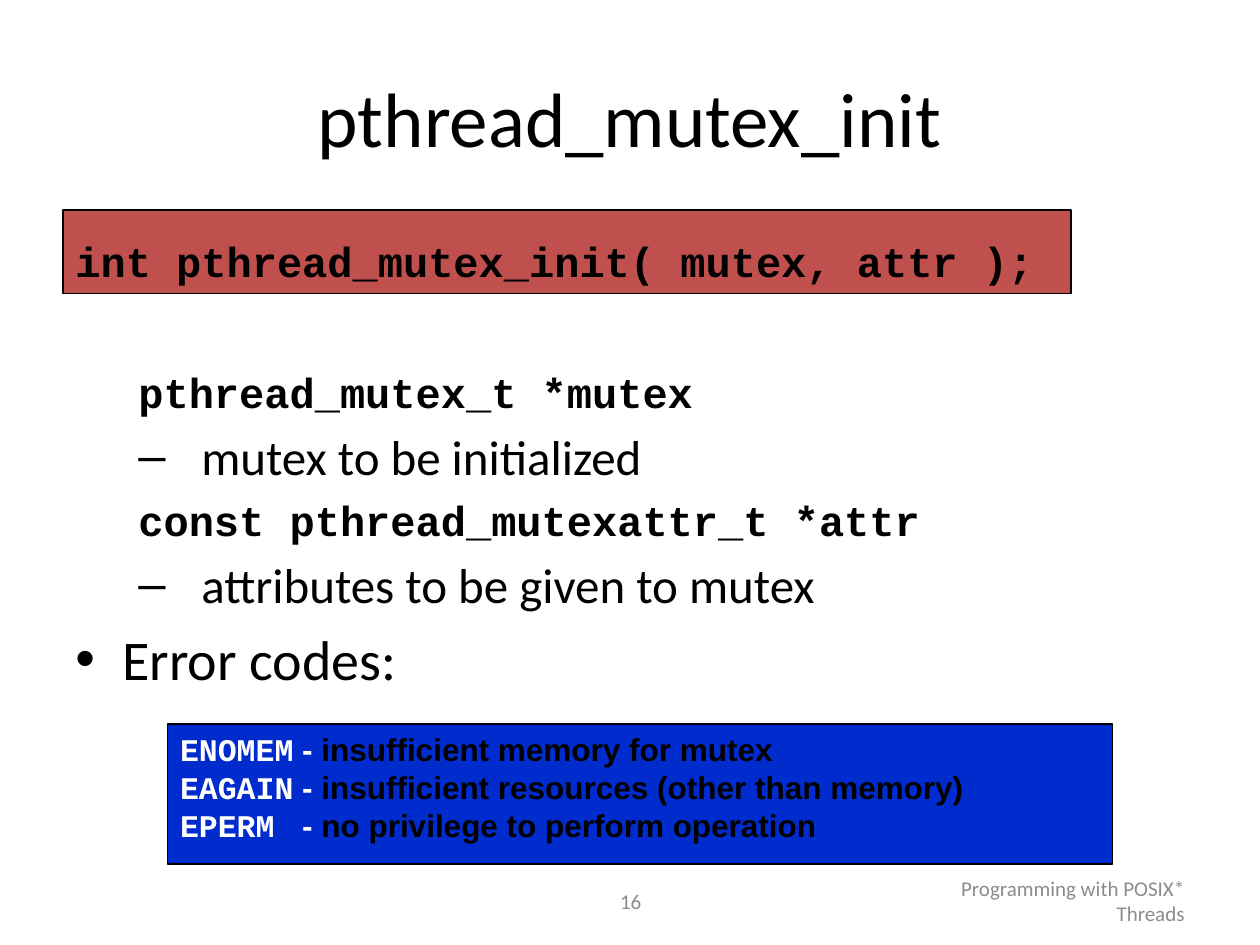
from pptx import Presentation
from pptx.dml.color import RGBColor as Rgb
from pptx.enum.shapes import MSO_SHAPE as Shape
from pptx.enum.text import MSO_ANCHOR as Anchor, PP_ALIGN as Align
from pptx.util import Cm, Pt
from lxml.etree import SubElement as Sub
from pptx.oxml.ns import qn

THEME = {
    "ink": "000000", "pale": "FFFFFF", "grey": "8C8C8C",
    "red": "C0504D", "blue": "002CCE",
    "sans": "Calibri", "mono": "Courier New", "bold": "Arial",
    "title": 44, "topic": 32, "note": 28, "code": 24, "error": 18, "foot": 12,
}
TITLE = "pthread_mutex_init"
CALL = "int pthread_mutex_init( mutex, attr );"
PARTS = [
    ("pthread_mutex_t *mutex", "mutex to be initialized"),
    ("const pthread_mutexattr_t *attr", "attributes to be given to mutex"),
]
TOPIC = "Error codes:"
ERRORS = [
    ("ENOMEM", "insufficient memory for mutex"),
    ("EAGAIN", "insufficient resources (other than memory)"),
    ("EPERM ", "no privilege to perform operation"),
]
NUMBER = "16"
FOOTER = "Programming with POSIX* Threads"

AREAS = {
    "number": (8.69, 17.65, 8.05, 1.02),
    "footer": (18.21, 17.65, 5.92, 1.02),
    "call": (1.27, 4.24, 20.32, 1.68),
    "title": (1.27, 0.76, 22.86, 3.18),
    "body": (1.27, 4.62, 22.86, 13.8),
    "errors": (3.38, 14.6, 19.05, 2.82),
}


def frame(shape, anchor=Anchor.TOP):
    """Prepare the text frame of a shape."""
    area = shape.text_frame
    area.word_wrap = True
    area.vertical_anchor = anchor
    return area


def box(slide, name, anchor=Anchor.TOP):
    """Add a text box and return its first paragraph."""
    shape = slide.shapes.add_textbox(*map(Cm, AREAS[name]))
    return frame(shape, anchor).paragraphs[0]


def panel(slide, name, fill):
    """Add a filled rectangle with a thin outline."""
    shape = slide.shapes.add_shape(Shape.RECTANGLE, *map(Cm, AREAS[name]))
    shape.shadow.inherit = False
    shape.fill.solid()
    shape.fill.fore_color.rgb = Rgb.from_string(THEME[fill])
    shape.line.color.rgb = Rgb.from_string(THEME["ink"])
    shape.line.width = Pt(1)
    return shape


def write(para, text, size, font="sans", color="ink", bold=False, align=Align.LEFT):
    """Add one formatted run to a paragraph."""
    para.alignment = align
    run = para.add_run()
    run.text = text
    run.font.size = Pt(THEME[size])
    run.font.name = THEME[font]
    run.font.bold = bold
    run.font.color.rgb = Rgb.from_string(THEME[color])


def indent(para, left, hang=0, mark=None):
    """Set the indents and the bullet of a paragraph."""
    props = para._p.get_or_add_pPr()
    props.set("marL", str(Cm(left)))
    props.set("indent", str(-Cm(hang)))
    if mark:
        Sub(props, qn("a:buFont"), typeface="Arial")
        Sub(props, qn("a:buChar"), char=mark)
    else:
        Sub(props, qn("a:buNone"))


def fill_body(para):
    """Write the call, its parameters and the last topic."""
    area = para._parent
    write(para, CALL, "code", "mono", bold=True)
    for row, (code, note) in enumerate(PARTS):
        para = area.add_paragraph()
        indent(para, 1.27)
        para.space_before = Pt(5 if row else 46)
        write(para, code, "code", "mono", bold=True)
        para = area.add_paragraph()
        indent(para, 2.54, 1.27, "–")
        para.space_before = Pt(5.6)
        write(para, note, "note")
    para = area.add_paragraph()
    indent(para, 0.95, 0.95, "•")
    para.space_before = Pt(6.4)
    write(para, TOPIC, "topic")


def fill_errors(area):
    """Write one line for each error code."""
    for row, (code, cause) in enumerate(ERRORS):
        para = area.add_paragraph() if row else area.paragraphs[0]
        write(para, code, "error", "mono", "pale", True)
        write(para, " - ", "error", "bold", "pale", True)
        write(para, cause, "error", "bold", bold=True)


def main():
    """Build the slide and save it."""
    deck = Presentation()
    deck.slide_width, deck.slide_height = Cm(25.4), Cm(19.05)
    slide = deck.slides.add_slide(deck.slide_layouts[6])
    mid = Anchor.MIDDLE
    write(box(slide, "number", mid), NUMBER, "foot", color="grey", align=Align.CENTER)
    write(box(slide, "footer", mid), FOOTER, "foot", color="grey", align=Align.RIGHT)
    panel(slide, "call", "red")
    write(box(slide, "title", mid), TITLE, "title", align=Align.CENTER)
    fill_body(box(slide, "body"))
    fill_errors(frame(panel(slide, "errors", "blue")))
    deck.save("out.pptx")


if __name__ == "__main__":
    main()
